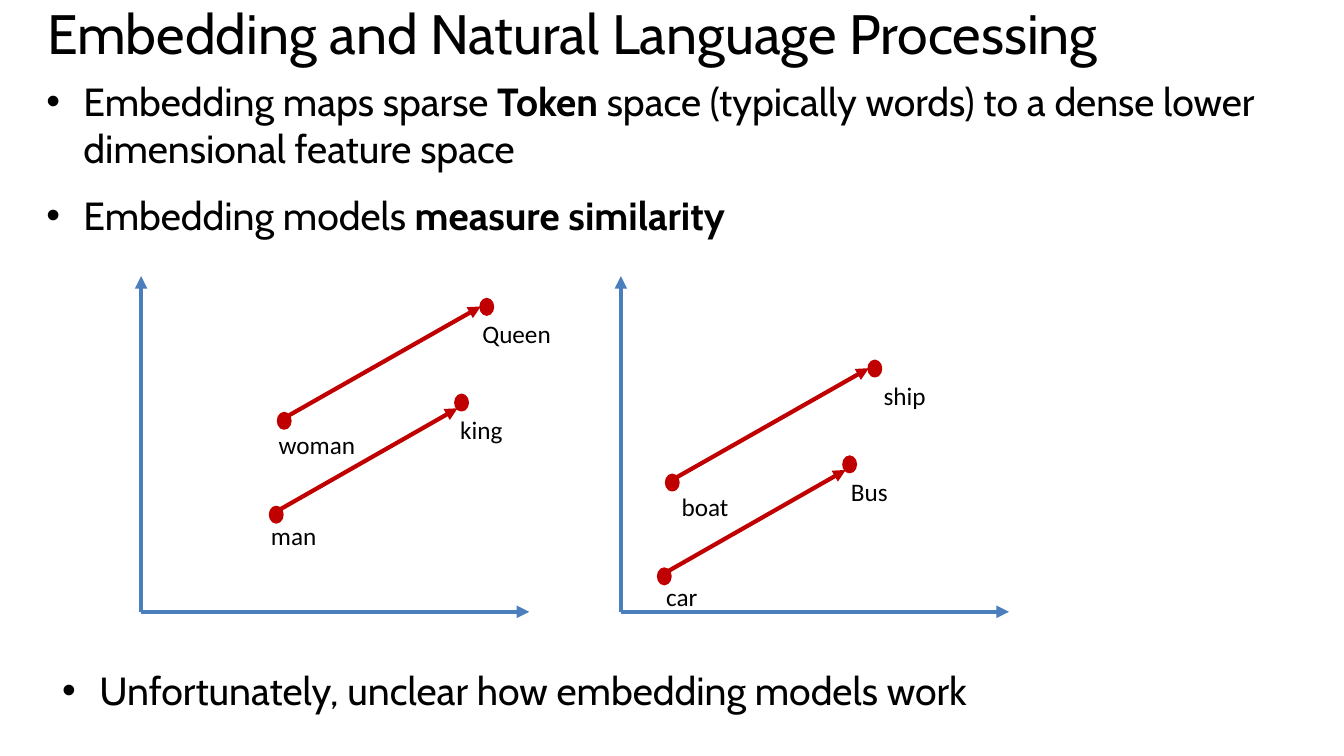
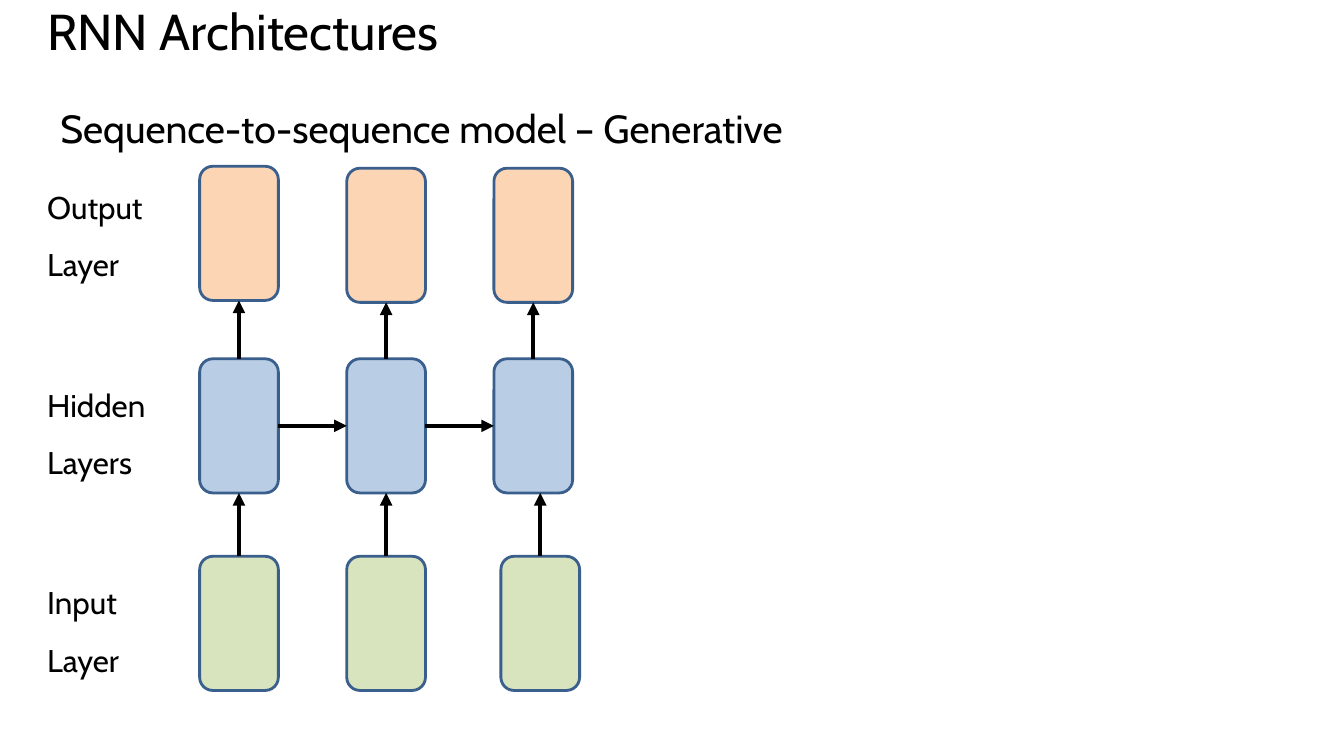
from lxml import etree
from pptx import Presentation
from pptx.dml.color import RGBColor
from pptx.enum import shapes, text
from pptx.oxml import ns
from pptx.util import Pt

BLACK = RGBColor(0x00, 0x00, 0x00)
AXIS_BLUE = RGBColor(0x4B, 0x7E, 0xBC)
RED = RGBColor(0xC0, 0x00, 0x00)
OUTLINE = RGBColor(0x3A, 0x5F, 0x8C)
ORANGE = RGBColor(0xFC, 0xD5, 0xB5)
BLUE = RGBColor(0xB9, 0xCD, 0xE5)
GREEN = RGBColor(0xD7, 0xE4, 0xBD)

TITLE_AREA = (26.6, 5, 907.2, 64)
BODY_SIZE = 28
LEFT, CENTER = text.PP_ALIGN.LEFT, text.PP_ALIGN.CENTER


def add_text(page, area, lines, size, font="Cabin", align=LEFT,
             before=14, spacing=1.0, bullet=False):
    """Add one paragraph per line; parts between asterisks are bold."""
    box = page.shapes.add_textbox(*map(Pt, area))
    frame = box.text_frame
    frame.word_wrap = True
    for index, line in enumerate(lines):
        para = frame.paragraphs[0] if index == 0 else frame.add_paragraph()
        para.alignment = align
        para.space_before = Pt(before)
        para.line_spacing = spacing
        if bullet:
            props = para._p.get_or_add_pPr()
            props.set("marL", str(Pt(26.6)))
            props.set("indent", str(Pt(-26.6)))
            etree.SubElement(props, ns.qn("a:buFont")).set("typeface", "Arial")
            etree.SubElement(props, ns.qn("a:buChar")).set("char", "•")
        para.font.name = font
        para.font.size = Pt(size)
        para.font.color.rgb = BLACK
        for part, words in enumerate(line.split("*")):
            if words:
                span = para.add_run()
                span.text = words
                if part % 2:
                    span.font.bold = True


def add_arrow(page, start, end, color):
    arrow = page.shapes.add_connector(
        shapes.MSO_CONNECTOR.STRAIGHT, *map(Pt, (*start, *end)))
    arrow.line.color.rgb = color
    arrow.line.width = Pt(3)
    etree.SubElement(arrow.line._get_or_add_ln(), ns.qn("a:tailEnd")).set("type", "triangle")
    etree.SubElement(arrow._element.spPr, ns.qn("a:effectLst"))
    return arrow


deck = Presentation()
deck.slide_width, deck.slide_height = Pt(960), Pt(540)
blank = deck.slide_layouts[6]

# Slide 1: word embeddings
page = deck.slides.add_slide(blank)
add_text(page, TITLE_AREA, ["Embedding and Natural Language Processing"],
         39.6, before=0, spacing=0.8)
add_text(page, (26, 51.8, 907.2, 139.7), [
    "Embedding maps sparse *Token* space (typically words) to a dense lower dimensional feature space",
    "Embedding models *measure similarity*",
], BODY_SIZE, bullet=True)

AXIS_Y, AXIS_HEIGHT, AXIS_WIDTH = 437, 239.8, 277.2
DOT_WIDTH, DOT_HEIGHT = 8.6, 10.8
dots = [(343.4, 213.8), (325.4, 282.2), (193, 362.2), (198.7, 295.2)]
label_corners = [(319, 223.9), (293.8, 292.3), (159.8, 367.9), (176.4, 303.1)]
relations = [((193, 367.9), (326.9, 291.6)), ((206.6, 296.6), (343.4, 218.9))]
# Each plot: axis origin, shift of its points, words in the order of the dots
plots = [
    (100.8, (0, 0), ["Queen", "king", "man", "woman"]),
    (443.5, (277.2, 44.1), ["ship", "Bus", "car", "boat"]),
]
for axis_x, (dx, dy), words in plots:
    origin = (axis_x, AXIS_Y)
    add_arrow(page, origin, (axis_x, AXIS_Y - AXIS_HEIGHT), AXIS_BLUE)
    add_arrow(page, origin, (axis_x + AXIS_WIDTH, AXIS_Y), AXIS_BLUE)
    for word, (x, y) in zip(words, label_corners):
        add_text(page, (x + dx, y + dy, 100, 28.8), [word], 18,
                 font="Calibri", align=CENTER, before=0)
    for x, y in dots:
        dot = page.shapes.add_shape(
            shapes.MSO_SHAPE.OVAL, Pt(x + dx), Pt(y + dy), Pt(DOT_WIDTH), Pt(DOT_HEIGHT))
        dot.shadow.inherit = False
        dot.fill.solid()
        dot.fill.fore_color.rgb = RED
        dot.line.color.rgb = RED
        dot.line.width = Pt(2)
    for (x1, y1), (x2, y2) in relations:
        add_arrow(page, (x1 + dx, y1 + dy), (x2 + dx, y2 + dy), RED)

add_text(page, (37.4, 472.3, 907.2, 54.7),
         ["Unfortunately, unclear how embedding models work"], BODY_SIZE, bullet=True)

# Slide 2: recurrent network
page = deck.slides.add_slide(blank)
add_text(page, TITLE_AREA, ["RNN Architectures"], 36, before=0, spacing=0.8)
add_text(page, (36, 70.6, 733, 34.6), ["Sequence-to-sequence model – Generative"], BODY_SIZE)

CELL_WIDTH, CELL_HEIGHT = 56.2, 95.8
columns = [142.6 + 105.1 * step for step in range(3)]
# Each layer: label, label top, fill, corners of its cells
layers = [
    (["Output", "Layer"], 131, ORANGE, list(zip(columns, (118.8, 120.2, 120.2)))),
    (["Hidden", "Layers"], 272.2, BLUE, [(x, 256.3) for x in columns]),
    (["Input", "Layer"], 413.3, GREEN, [(x, 397.4) for x in (*columns[:2], 357.8)]),
]
grid = []
for label, label_top, fill, corners in layers:
    add_text(page, (26.6, label_top, 102.2, 64), label, 22.4)
    row = []
    for x, y in corners:
        cell = page.shapes.add_shape(
            shapes.MSO_SHAPE.ROUNDED_RECTANGLE, Pt(x), Pt(y), Pt(CELL_WIDTH), Pt(CELL_HEIGHT))
        cell.shadow.inherit = False
        cell.fill.solid()
        cell.fill.fore_color.rgb = fill
        cell.line.color.rgb = OUTLINE
        cell.line.width = Pt(2)
        row.append(cell)
    grid.append(row)

for upper_row, lower_row in zip(grid, grid[1:]):
    for upper, lower in zip(upper_row, lower_row):
        middle = lower.left.pt + CELL_WIDTH / 2
        arrow = add_arrow(page, (middle, lower.top.pt),
                          (middle, upper.top.pt + CELL_HEIGHT), BLACK)
        arrow.begin_connect(lower, 0)
        if upper.left == lower.left:
            arrow.end_connect(upper, 2)

hidden = grid[1]
for cell, following in zip(hidden, hidden[1:]):
    middle = cell.top.pt + CELL_HEIGHT / 2
    arrow = add_arrow(page, (cell.left.pt + CELL_WIDTH, middle),
                      (following.left.pt, middle), BLACK)
    arrow.begin_connect(cell, 3)
    arrow.end_connect(following, 1)

deck.save("out.pptx")
